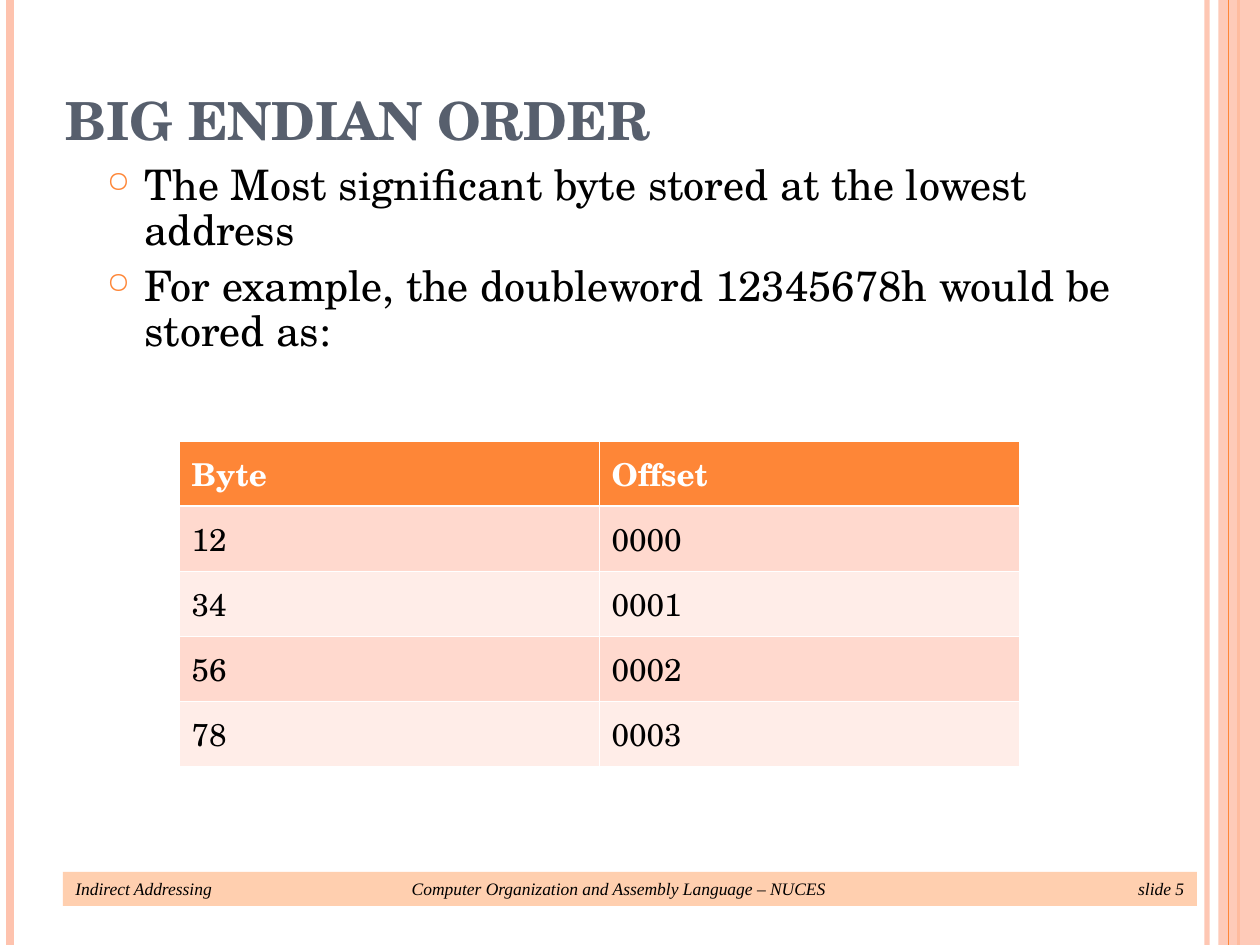
from lxml.etree import SubElement
from pptx import Presentation
from pptx.dml.color import RGBColor
from pptx.enum.shapes import MSO_CONNECTOR, MSO_SHAPE
from pptx.enum.text import MSO_ANCHOR
from pptx.oxml.ns import qn
from pptx.util import Inches, Pt

COLORS = {
    "peach": "FEC3AE",
    "orange": "FE8637",
    "footer": "FFCFAF",
    "slate": "575F6D",
    "black": "000000",
    "white": "FFFFFF",
    "dark": "FFD9CE",
    "light": "FFEDE8",
}
SERIF = "TeX Gyre Schola"
RULES = [
    (9.58, "peach", 3, 93),
    (0.08, "peach", 4.5, 100),
    (9.83, "orange", 1.5, 100),
]
POINTS = [
    "The Most significant byte stored at the lowest address",
    "For example, the doubleword 12345678h would be stored as:",
]
ROWS = [
    ("Byte", "Offset"),
    ("12", "0000"),
    ("34", "0001"),
    ("56", "0002"),
    ("78", "0003"),
]


def color(name):
    return RGBColor.from_string(COLORS[name])


def add(parent, tag, **attrs):
    node = SubElement(parent, qn(tag))
    for key, value in attrs.items():
        node.set(key, str(value))
    return node


def fade(props, alpha):
    if alpha < 100:
        tint = next(props.iter(qn("a:srgbClr")))
        add(tint, "a:alpha", val=alpha * 1000)


def style(para, size, tone, face=SERIF, bold=False, italic=False):
    font = para.font
    font.size, font.name = Pt(size), face
    font.bold, font.italic = bold, italic
    font.color.rgb = color(tone)


def add_rule(slide, x, tone, width, alpha=100):
    rule = slide.shapes.add_connector(
        MSO_CONNECTOR.STRAIGHT, Inches(x), 0, Inches(x), Inches(7.5))
    rule.line.color.rgb = color(tone)
    rule.line.width = Pt(width)
    props = rule._element.spPr
    fade(props, alpha)
    add(props, "a:effectLst")


def add_bar(slide, box, tone, alpha=100):
    bar = slide.shapes.add_shape(MSO_SHAPE.RECTANGLE, *map(Inches, box))
    bar.shadow.inherit = False
    bar.fill.solid()
    bar.fill.fore_color.rgb = color(tone)
    bar.line.fill.background()
    fade(bar._element.spPr, alpha)
    return bar


def add_footer(slide):
    frame = add_bar(slide, (0.5, 6.92, 9, 0.27), "footer").text_frame
    frame.vertical_anchor = MSO_ANCHOR.MIDDLE
    para = frame.paragraphs[0]
    para.text = ("Indirect Addressing\t"
                 "Computer Organization and Assembly Language – NUCES\tslide 5")
    props = para._p.get_or_add_pPr()
    props.set("algn", "l")
    tabs = add(props, "a:tabLst")
    for pos, kind in ((4.31, "ctr"), (8.8, "r")):
        add(tabs, "a:tab", pos=Inches(pos), algn=kind)
    style(para, 10, "black", "Times New Roman", italic=True)


def add_text(slide, box):
    frame = slide.shapes.add_textbox(*map(Inches, box)).text_frame
    frame.word_wrap = True
    return frame


def add_title(slide, text):
    frame = add_text(slide, (0.42, 0, 8.17, 1.25))
    frame.vertical_anchor = MSO_ANCHOR.BOTTOM
    para = frame.paragraphs[0]
    para.text = text
    style(para, 30, "slate", bold=True)


def add_points(slide):
    frame = add_text(slide, (0.75, 1.25, 8.5, 2.58))
    for i, text in enumerate(POINTS):
        para = frame.add_paragraph() if i else frame.paragraphs[0]
        para.text = text
        para.line_spacing = 0.9
        if i:
            para.space_before = Pt(6)
        props = para._p.get_or_add_pPr()
        props.set("marL", str(Inches(0.3)))
        props.set("indent", str(Inches(-0.3)))
        tint = add(props, "a:buClr")
        add(tint, "a:srgbClr", val=COLORS["orange"])
        add(props, "a:buSzPct", val=70000)
        add(props, "a:buChar", char="○")
        style(para, 24, "black")


def add_edges(cell, top, bottom):
    props = cell._tc.get_or_add_tcPr()
    widths = {"L": 0.45, "R": 0.45, "T": top, "B": bottom}
    for side, width in widths.items():
        edge = add(props, f"a:ln{side}", w=Pt(width))
        fill = add(edge, "a:solidFill")
        add(fill, "a:srgbClr", val=COLORS["white"])


def add_grid(slide):
    box = map(Inches, (1.42, 3.5, 6.67, 2.58))
    table = slide.shapes.add_table(len(ROWS), len(ROWS[0]), *box).table
    for r, row in enumerate(ROWS):
        head = r == 0
        tone = "orange" if head else ("light", "dark")[r % 2]
        for c, text in enumerate(row):
            cell = table.cell(r, c)
            add_edges(cell, 1.47 if r == 1 else 0.45, 1.47 if head else 0.45)
            cell.fill.solid()
            cell.fill.fore_color.rgb = color(tone)
            cell.vertical_anchor = MSO_ANCHOR.MIDDLE
            para = cell.text_frame.paragraphs[0]
            para.text = text
            style(para, 18, "white" if head else "black", bold=head)


def main():
    deck = Presentation()
    deck.slide_width, deck.slide_height = Inches(10), Inches(7.5)
    slide = deck.slides.add_slide(deck.slide_layouts[6])
    for rule in RULES:
        add_rule(slide, *rule)
    add_bar(slide, (9.67, 0, 0.33, 7.5), "peach", 87)
    add_rule(slide, 9.75, "orange", 0.75)
    add_footer(slide)
    add_title(slide, "BIG ENDIAN ORDER")
    add_points(slide)
    add_grid(slide)
    deck.save("out.pptx")


if __name__ == "__main__":
    main()
